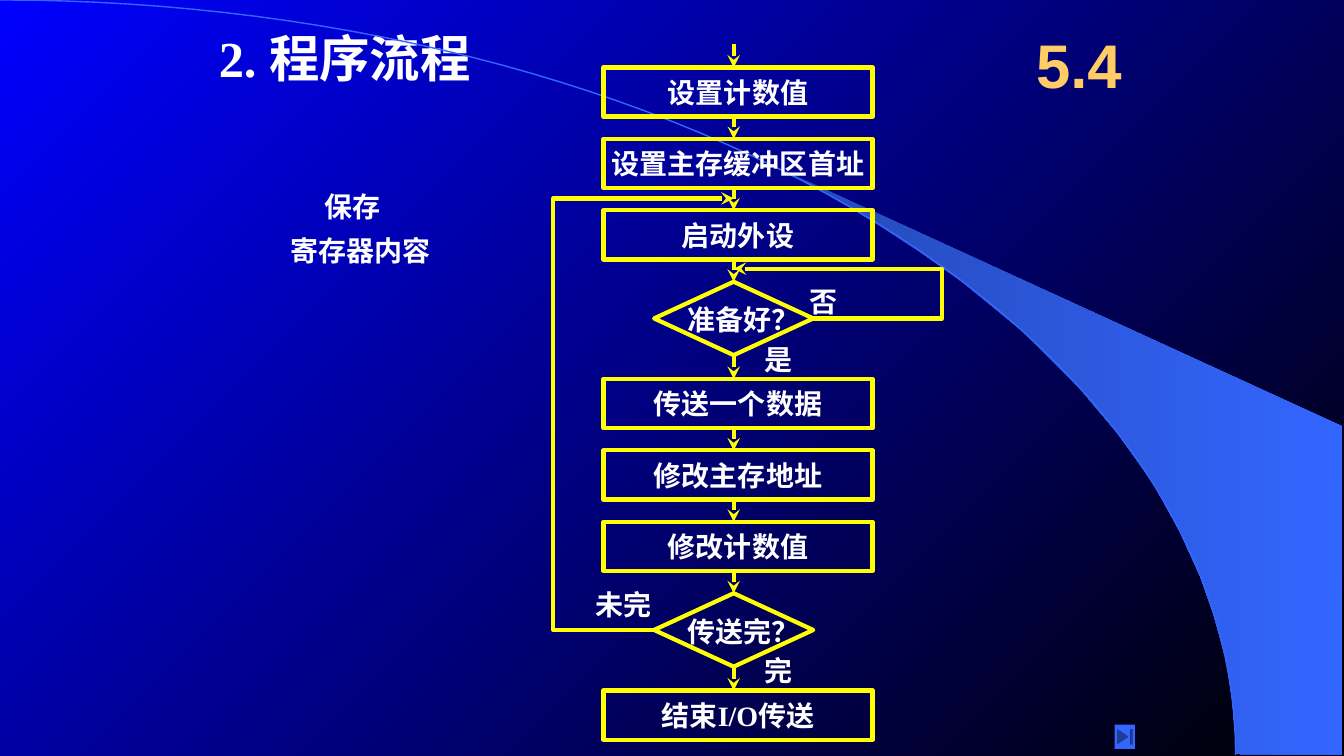
from collections import namedtuple
from math import cos, pi, sin

from pptx import Presentation
from pptx.dml.color import RGBColor
from pptx.enum.shapes import MSO_CONNECTOR, MSO_SHAPE
from pptx.enum.text import MSO_ANCHOR, PP_ALIGN
from pptx.oxml.ns import qn
from pptx.oxml.xmlchemy import OxmlElement
from pptx.util import Cm, Pt

COLOURS = {
    "text": "FFFFFF", "flow": "FFFF00", "number": "FFCC66", "accent": "3366FF",
    "fan": "2449B6", "sky": "0000FF", "night": "000000",
}
BODY = {"name": "Times New Roman", "size": Pt(20), "bold": True}
TITLE = {**BODY, "size": Pt(36)}
NUMBER = {"name": "Arial", "size": Pt(44), "bold": True}

Box = namedtuple("Box", "left top width height")

STEPS = ["设置计数值", "设置主存缓冲区首址", "启动外设", "准备好？",
         "传送一个数据", "修改主存地址", "修改计数值", "传送完？", "结束I/O传送"]
STEP_PITCH, ROUND_PITCH, STEPS_PER_ROUND = 1.8, 7.85, 4
STEP_HEIGHT, ARROW_LENGTH = 1.24, 0.6
DIAMOND_WIDTH, DIAMOND_HEIGHT = 4.01, 1.85

FAN_EDGE = [
    (31.17, 19), (33.81, 19.02), (33.81, 10.74), (19.96, 4.39), (21.13, 5.05),
    (22.1, 5.64), (23.19, 6.35), (24.26, 7.11), (25.81, 8.38), (27.18, 9.75),
    (28.19, 10.95), (29.06, 12.17), (29.74, 13.41), (30.25, 14.53),
    (30.58, 15.47), (30.91, 16.66), (31.06, 17.68),
]


def colour(name):
    return RGBColor.from_string(COLOURS[name])


def lengths(box):
    return [Cm(value) for value in box]


def set_gradient(fill, names, angle):
    fill.gradient()
    fill.gradient_angle = angle
    for stop, name, position in zip(fill.gradient_stops, names, (0, 1)):
        stop.color.rgb = colour(name)
        stop.position = position


def set_line(shape, name="flow", width=3, arrow=False):
    shape.line.color.rgb = colour(name)
    shape.line.width = Pt(width)
    if arrow:
        tail = OxmlElement("a:tailEnd")
        tail.set("type", "stealth")
        shape._element.spPr.find(qn("a:ln")).append(tail)


def write(frame, lines, font=BODY, name="text", align=PP_ALIGN.LEFT,
          anchor=MSO_ANCHOR.TOP, wrap=False):
    frame.word_wrap = wrap
    frame.vertical_anchor = anchor
    for index, line in enumerate(lines):
        para = frame.add_paragraph() if index else frame.paragraphs[0]
        para.alignment = align
        span = para.add_run()
        span.text = line
        for attribute, value in font.items():
            setattr(span.font, attribute, value)
        span.font.color.rgb = colour(name)


def add_text(page, box, lines, **layout):
    frame = page.shapes.add_textbox(*lengths(box)).text_frame
    write(frame, lines, **layout)
    return frame


def add_outline(page, points, close=False):
    """Add an unfilled, shadowless freeform through points given in cm."""
    corners = [(Cm(x), Cm(y)) for x, y in points]
    builder = page.shapes.build_freeform(*corners[0])
    builder.add_line_segments(corners[1:], close=close)
    shape = builder.convert_to_shape()
    shape.shadow.inherit = False
    shape.fill.background()
    return shape


def add_backdrop(page, box):
    set_gradient(page.background.fill, ("sky", "night"), 315)
    fan = add_outline(page, FAN_EDGE, close=True)
    set_gradient(fan.fill, ("fan", "accent"), 0)
    fan.line.fill.background()
    turns = [step * pi / 120 for step in range(61)]
    arc = add_outline(page, [(box.left + box.width * sin(turn),
                              box.top + box.height * (1 - cos(turn)))
                             for turn in turns])
    set_line(arc, "accent", 1)


def add_heading(page, box):
    title = page.shapes.title
    title.left, title.top, title.width, title.height = lengths(box)
    write(title.text_frame, ["2. 程序流程"], font=TITLE, wrap=True)


def add_register_note(page, box):
    frame = add_text(page, box, ["保存", "寄存器内容"], wrap=True)
    for para, indent in zip(frame.paragraphs, (1.35, 0.48)):
        para.line_spacing = 1.3
        para._p.get_or_add_pPr().set("marL", str(Cm(indent)))


def add_step(page, box, kind, label=None):
    shape = page.shapes.add_shape(kind, *lengths(box))
    shape.shadow.inherit = False
    shape.fill.background()
    set_line(shape)
    if label:
        write(shape.text_frame, [label], align=PP_ALIGN.CENTER,
              anchor=MSO_ANCHOR.MIDDLE)


def add_down_arrow(page, x, start, end):
    arrow = page.shapes.add_connector(
        MSO_CONNECTOR.STRAIGHT, Cm(x), Cm(start), Cm(x), Cm(end))
    set_line(arrow, arrow=True)
    arrow._element.spPr.append(OxmlElement("a:effectLst"))


def add_loop(page, start, side, end):
    """Draw an arrow from start, out to x = side, and back to end."""
    loop = add_outline(page, [start, (side, start[1]), (side, end[1]), end])
    set_line(loop, arrow=True)


def add_flowchart(page, box):
    axis = box.left + 3.28
    half = DIAMOND_WIDTH / 2
    decisions = []
    bottom = box.top - ARROW_LENGTH
    for index, label in enumerate(STEPS):
        turn, place = divmod(index, STEPS_PER_ROUND)
        top = box.top + turn * ROUND_PITCH + place * STEP_PITCH
        add_down_arrow(page, axis, bottom, top)
        if place == STEPS_PER_ROUND - 1:
            decisions.append(top)
            add_step(page, Box(axis - half, top, DIAMOND_WIDTH, DIAMOND_HEIGHT),
                     MSO_SHAPE.DIAMOND)
            add_text(page, Box(axis - 1.42, top + 0.4, 3.38, 1.12), [label])
            bottom = top + DIAMOND_HEIGHT
        else:
            add_step(page, Box(box.left, top, box.width, STEP_HEIGHT),
                     MSO_SHAPE.RECTANGLE, label)
            bottom = top + STEP_HEIGHT

    ready, done = decisions
    middle = DIAMOND_HEIGHT / 2
    add_loop(page, (axis + half, ready + middle), axis + 5.25,
             (axis, ready - 0.33))
    add_loop(page, (axis - half, done + middle), axis - 4.55,
             (axis, box.top + 3.3))
    answers = [("否", 1.65, ready - 0.05), ("是", 0.53, ready + 1.4),
               ("未完", -3.73, done - 0.28), ("完", 0.53, done + 1.4)]
    for answer, shift, top in answers:
        add_text(page, Box(axis + shift, top, 0.5 + 0.72 * len(answer), 1.12),
                 [answer])


def add_next_button(page, box):
    button = page.shapes.add_shape(MSO_SHAPE.ACTION_BUTTON_END, *lengths(box))
    button.shadow.inherit = False
    button.fill.solid()
    button.fill.fore_color.rgb = colour("accent")
    button.line.fill.background()


def main():
    deck = Presentation()
    deck.slide_width, deck.slide_height = Cm(33.87), Cm(19.05)
    page = deck.slides.add_slide(deck.slide_layouts[5])
    add_backdrop(page, Box(0, 0, 31.14, 19.02))
    add_heading(page, Box(5.26, 0.56, 6.93, 1.8))
    add_flowchart(page, Box(15.21, 1.7, 6.78, 17))
    add_text(page, Box(25.6, 0.43, 3.18, 2.34), ["5.4"], font=NUMBER,
             name="number", align=PP_ALIGN.CENTER, anchor=MSO_ANCHOR.MIDDLE,
             wrap=True)
    add_register_note(page, Box(6.58, 4.4, 5.54, 2.5))
    add_next_button(page, Box(28.09, 18.26, 0.51, 0.61))
    deck.save("out.pptx")


if __name__ == "__main__":
    main()
